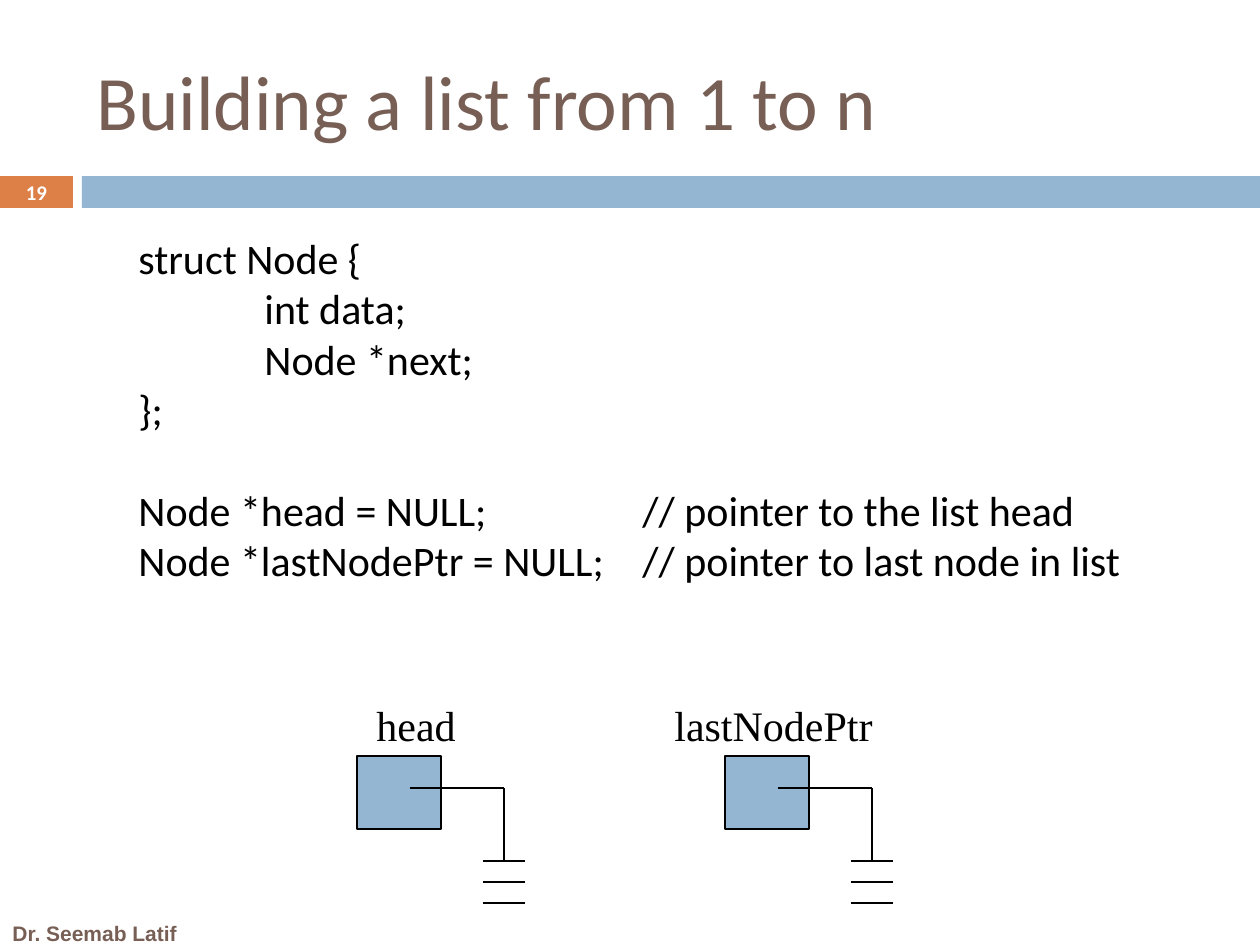
from lxml import etree
from pptx import Presentation
from pptx import util as u
from pptx.dml.color import RGBColor
from pptx.enum import shapes, text
from pptx.oxml import ns

SCALE = 914400 / 126
WIDTH, HEIGHT = 1260, 945
BLACK = RGBColor(0x00, 0x00, 0x00)
WHITE = RGBColor(0xFF, 0xFF, 0xFF)
BROWN = RGBColor(0x77, 0x5F, 0x55)
BLUE = RGBColor(0x94, 0xB6, 0xD2)
ORANGE = RGBColor(0xDD, 0x80, 0x47)

DECLS = ["struct Node {", "\tint data;", "\tNode *next;", "};"]
INITS = [
    "Node *head = NULL;\t\t// pointer to the list head",
    "Node *lastNodePtr = NULL;\t// pointer to last node in list",
]


def px(num):
    """Turn pixels into EMU."""
    return u.Emu(round(num * SCALE))


def tabs(para, step, count):
    """Give a paragraph evenly spaced left tab stops."""
    stops = etree.SubElement(para._p.get_or_add_pPr(), ns.qn("a:tabLst"))
    for num in range(1, count + 1):
        etree.SubElement(stops, ns.qn("a:tab"), pos=str(px(step * num)), algn="l")


def write(slide, box, lines, size=24, font="Calibri", color=BLACK, bold=False,
          align=None, anchor=text.MSO_ANCHOR.TOP, wrap=True, gaps=()):
    """Add a text box with one paragraph a line; gaps lists lines set apart."""
    frame = slide.shapes.add_textbox(*map(px, box)).text_frame
    frame.word_wrap = wrap
    frame.vertical_anchor = anchor
    for num, line in enumerate(lines):
        para = frame.paragraphs[0] if num == 0 else frame.add_paragraph()
        if "\t" in line:
            tabs(para, 126, 4)
        para.alignment = align
        if num in gaps:
            para.space_before = u.Pt(29)
        run = para.add_run()
        run.text = line
        run.font.size = u.Pt(size)
        run.font.name = font
        run.font.bold = bold
        run.font.color.rgb = color


def block(slide, box, fill, edge=None):
    """Add a filled rectangle, with a thin edge if a colour is given."""
    rect = slide.shapes.add_shape(shapes.MSO_SHAPE.RECTANGLE, *map(px, box))
    rect.shadow.inherit = False
    rect.fill.solid()
    rect.fill.fore_color.rgb = fill
    if edge is None:
        rect.line.fill.background()
    else:
        rect.line.color.rgb = edge
        rect.line.width = u.Pt(1)


def wire(slide, *ends):
    """Add a thin black line between two points."""
    line = slide.shapes.add_connector(shapes.MSO_CONNECTOR.STRAIGHT, *map(px, ends))
    line.line.color.rgb = BLACK
    line.line.width = u.Pt(1)
    etree.SubElement(line._element.spPr, ns.qn("a:effectLst"))


def header(slide, left, top, width, height):
    """Place the title, the page number and the coloured band."""
    middle = text.MSO_ANCHOR.MIDDLE
    write(slide, (left + 84, top + 32, width - 136, 136),
          ["Building a list from 1 to n"], size=44, color=BROWN, anchor=middle)
    band = top + height - 32
    block(slide, (left, band, 73, 32), ORANGE)
    block(slide, (left + 82, band, width - 82, 32), BLUE)
    write(slide, (left, band - 1, 73, 34), ["19"], size=11.9, color=WHITE,
          bold=True, align=text.PP_ALIGN.CENTER, anchor=middle)


def null(slide, left, top, name, shift, width):
    """Draw a named pointer cell whose wire ends in a ground sign."""
    write(slide, (left + shift, top - 63, width, 64), [name],
          font="Times New Roman", wrap=False)
    block(slide, (left, top, 84, 73), BLUE, BLACK)
    bend, mid = left + 147, top + 32
    wire(slide, left + 53, mid, bend, mid)
    wire(slide, bend, mid, bend, top + 105)
    for step in range(3):
        level = top + 105 + 21 * step
        wire(slide, bend - 21, level, bend + 21, level)


def footer(slide, left, top, width, height):
    """Place the name of the author."""
    write(slide, (left, top, width, height), ["Dr. Seemab Latif"], size=12,
          font="Arial", color=BROWN, bold=True, anchor=text.MSO_ANCHOR.MIDDLE)


def main():
    """Build the slide and save it."""
    deck = Presentation()
    deck.slide_width, deck.slide_height = px(WIDTH), px(HEIGHT)
    slide = deck.slides.add_slide(deck.slide_layouts[6])
    header(slide, 0, 0, WIDTH, 208)
    footer(slide, 0, 913, 230, 40)
    write(slide, (126, 226, 1062, 471), DECLS + INITS, gaps=(len(DECLS),))
    null(slide, 357, 756, "head", 7, 110)
    null(slide, 725, 756, "lastNodePtr", -63, 230)
    deck.save("out.pptx")


if __name__ == "__main__":
    main()
